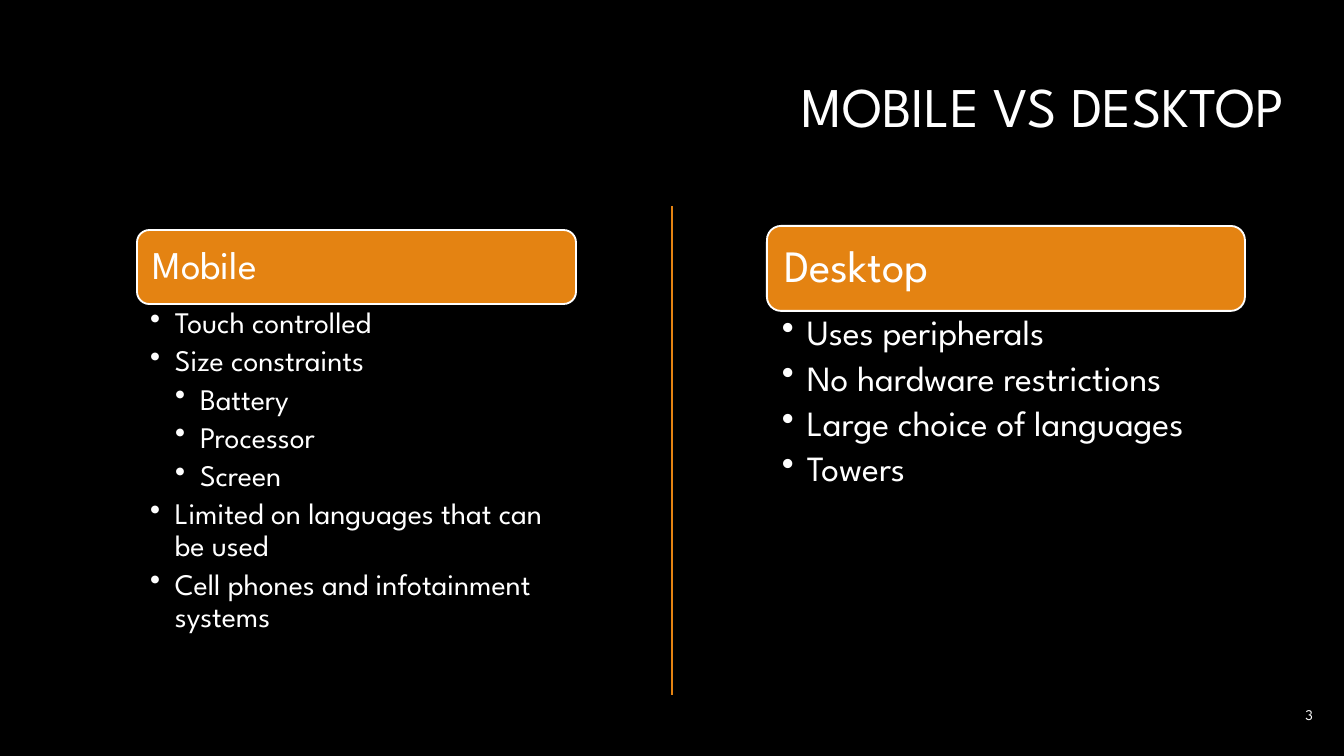
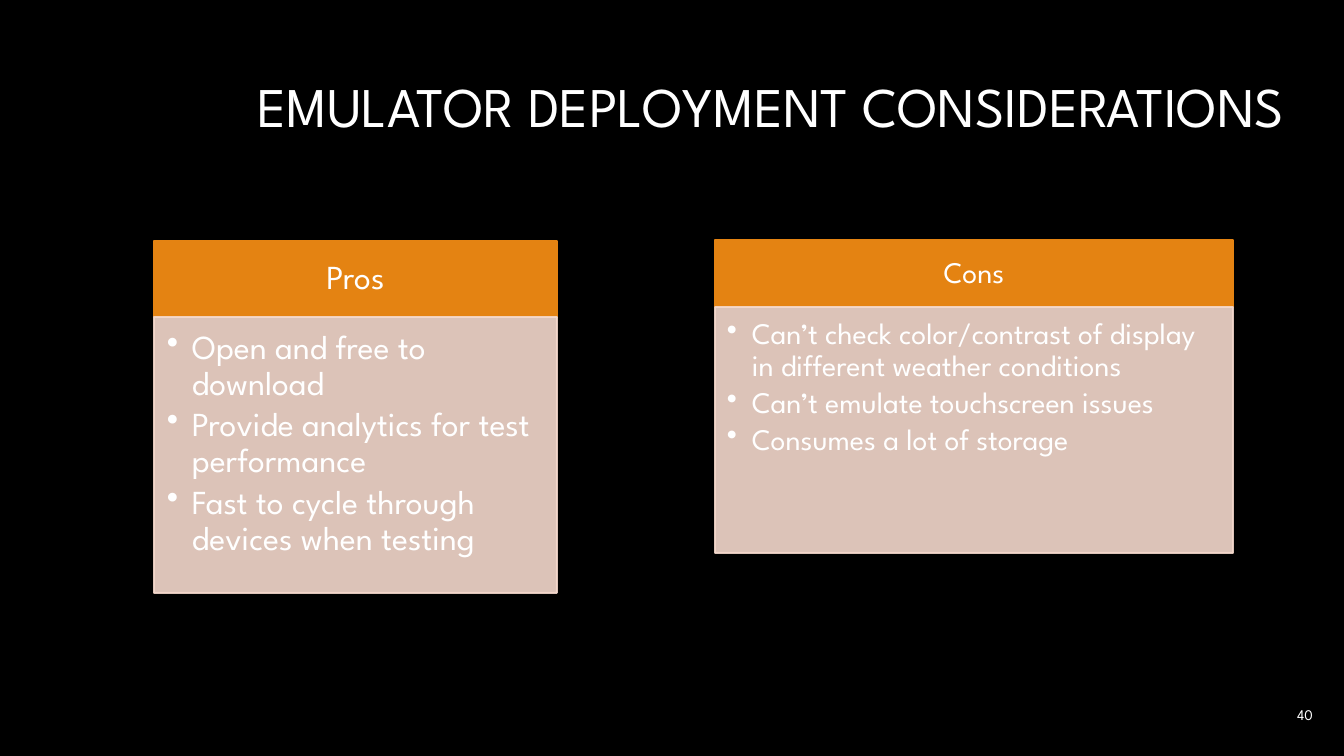
import lxml.etree
import pptx
import pptx.dml.color
import pptx.enum.shapes
import pptx.enum.text
import pptx.oxml.ns
import pptx.util

PX = 914400 / 134.4
FONT = "League Spartan"
BLACK = pptx.dml.color.RGBColor(0x00, 0x00, 0x00)
WHITE = pptx.dml.color.RGBColor(0xFF, 0xFF, 0xFF)
ORANGE = pptx.dml.color.RGBColor(0xE4, 0x83, 0x12)
BLUSH = pptx.dml.color.RGBColor(0xF5, 0xD9, 0xCC)
ALIGN = pptx.enum.text.PP_ALIGN
ANCHOR = pptx.enum.text.MSO_ANCHOR
SHAPE = pptx.enum.shapes.MSO_SHAPE
INDENT = 25


def px(*lengths):
    return [round(length * PX) for length in lengths]


def write(frame, insets, lines, size, align=ALIGN.LEFT, anchor=ANCHOR.TOP, spacing=0.9, gap=None):
    frame.word_wrap = True
    frame.auto_size = pptx.enum.text.MSO_AUTO_SIZE.NONE
    frame.vertical_anchor = anchor
    frame.margin_left, frame.margin_top, frame.margin_right, frame.margin_bottom = px(*insets)
    for number, (level, text) in enumerate(lines):
        paragraph = frame.add_paragraph() if number else frame.paragraphs[0]
        paragraph.text = text
        paragraph.alignment = align
        paragraph.line_spacing = spacing
        if level:
            paragraph.level = level
            paragraph.space_after = pptx.util.Pt(round(size * gap, 1))
            properties = paragraph._p.get_or_add_pPr()
            properties.set("marL", str(px(INDENT * level)[0]))
            properties.set("indent", str(px(-INDENT)[0]))
            bullet = lxml.etree.SubElement(properties, pptx.oxml.ns.qn("a:buChar"))
            bullet.set("char", "•")
        paragraph.font.name = FONT
        paragraph.font.size = pptx.util.Pt(size)
        paragraph.font.color.rgb = WHITE


presentation = pptx.Presentation()
presentation.slide_width, presentation.slide_height = px(1344, 756)

pages = []
for heading, page_number in [("MOBILE VS DESKTOP", "3"), ("EMULATOR DEPLOYMENT CONSIDERATIONS", "40")]:
    page = presentation.slides.add_slide(presentation.slide_layouts[5])
    page.background.fill.solid()
    page.background.fill.fore_color.rgb = BLACK
    title = page.shapes.title
    title.left, title.top, title.width, title.height = px(46, 66, 1252, 85)
    write(title.text_frame, (13, 13, 13, 13), [(0, heading)], 30, ALIGN.RIGHT)
    footer = page.shapes.add_textbox(*px(1246, 686, 80, 58))
    write(footer.text_frame, (13, 13, 13, 13), [(0, page_number)], 7.9, ALIGN.RIGHT, ANCHOR.MIDDLE, 1.0)
    pages.append(page)

comparison, considerations = pages

platforms = [
    ("Desktop", (767, 226, 478, 85), 24, 13, 270, 19, (15, 4, 26, 4), [
        (1, "Uses peripherals"),
        (1, "No hardware restrictions"),
        (1, "Large choice of languages"),
        (1, "Towers"),
    ]),
    ("Mobile", (137, 230, 439, 74), 21, 12, 351, 16, (13, 4, 22, 4), [
        (1, "Touch controlled"),
        (1, "Size constraints"),
        (2, "Battery"),
        (2, "Processor"),
        (2, "Screen"),
        (1, "Limited on languages that can be used"),
        (1, "Cell phones and infotainment systems"),
    ]),
]
for name, (left, top, width, height), name_size, inset, traits_height, size, insets, traits in platforms:
    banner = comparison.shapes.add_shape(SHAPE.ROUNDED_RECTANGLE, *px(left, top, width, height))
    banner.shadow.inherit = False
    banner.fill.solid()
    banner.fill.fore_color.rgb = ORANGE
    banner.line.color.rgb = WHITE
    banner.line.width = pptx.util.Pt(1)
    write(banner.text_frame, [inset] * 4, [(0, name)], name_size, anchor=ANCHOR.MIDDLE)
    trait_list = comparison.shapes.add_textbox(*px(left, top + height, width, traits_height))
    write(trait_list.text_frame, insets, traits, size, gap=0.2)

divider = comparison.shapes.add_connector(
    pptx.enum.shapes.MSO_CONNECTOR.STRAIGHT, *px(672, 206, 672, 695))
divider.line.color.rgb = ORANGE
divider.line.width = pptx.util.Pt(0.75)
lxml.etree.SubElement(divider._element.spPr, pptx.oxml.ns.qn("a:effectLst"))

verdicts = [
    ("Pros", (154, 241, 403), 76, 276, 18, (19, 11, 19, 11), (13, 13, 19, 22), [
        "Open and free to download",
        "Provide analytics for test performance",
        "Fast to cycle through devices when testing",
    ]),
    ("Cons", (715, 240, 518), 67, 246, 16, (16, 9, 16, 9), (12, 12, 16, 19), [
        "Can’t check color/contrast of display in different weather conditions",
        "Can’t emulate touchscreen issues",
        "Consumes a lot of storage",
    ]),
]
for name, (left, top, width), name_height, points_height, size, name_insets, point_insets, points in verdicts:
    header = considerations.shapes.add_shape(SHAPE.RECTANGLE, *px(left, top, width, name_height))
    panel = considerations.shapes.add_shape(
        SHAPE.RECTANGLE, *px(left, top + name_height, width, points_height))
    for part, color in [(header, ORANGE), (panel, BLUSH)]:
        part.shadow.inherit = False
        part.fill.solid()
        part.fill.fore_color.rgb = color
        part.line.color.rgb = color
        part.line.width = pptx.util.Pt(1)
    for tint in panel._element.spPr.iter(pptx.oxml.ns.qn("a:srgbClr")):
        lxml.etree.SubElement(tint, pptx.oxml.ns.qn("a:alpha")).set("val", "90000")
    write(header.text_frame, name_insets, [(0, name)], size, ALIGN.CENTER, ANCHOR.MIDDLE)
    write(panel.text_frame, point_insets, [(1, point) for point in points], size, gap=0.15)

presentation.save("out.pptx")
